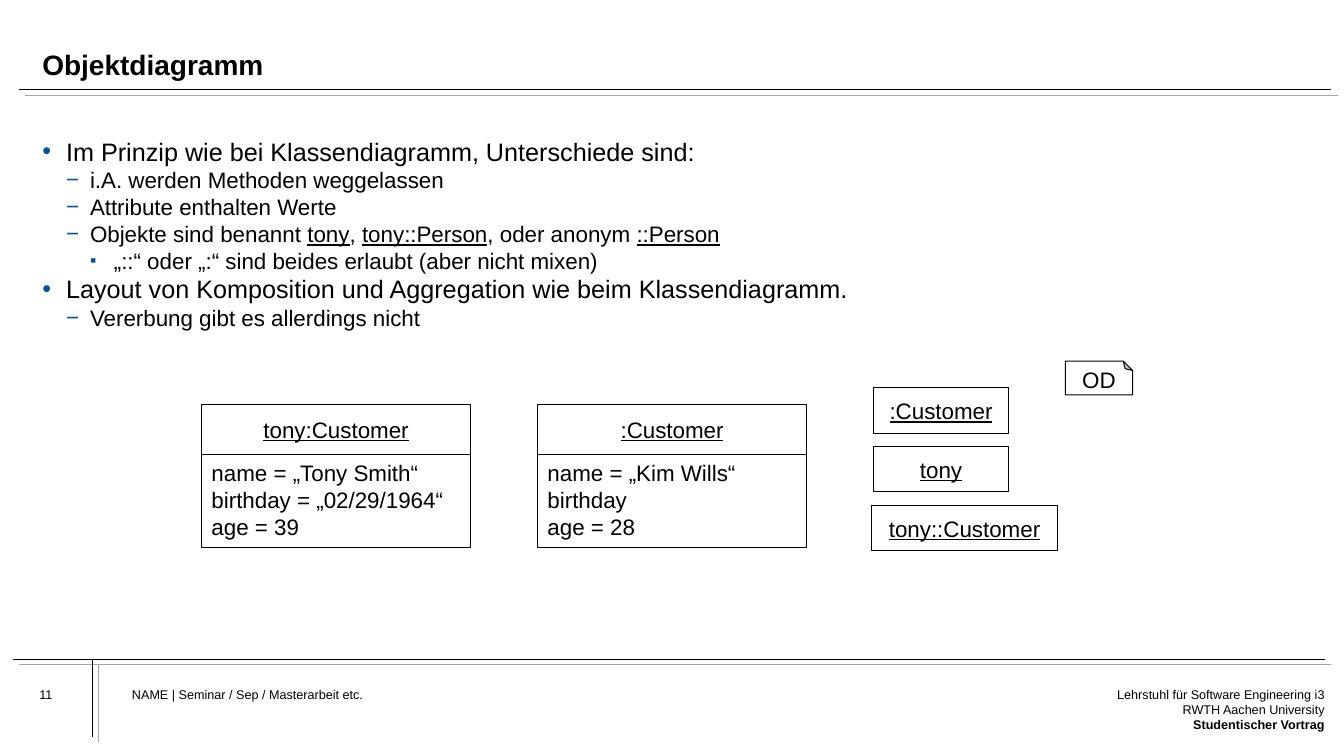
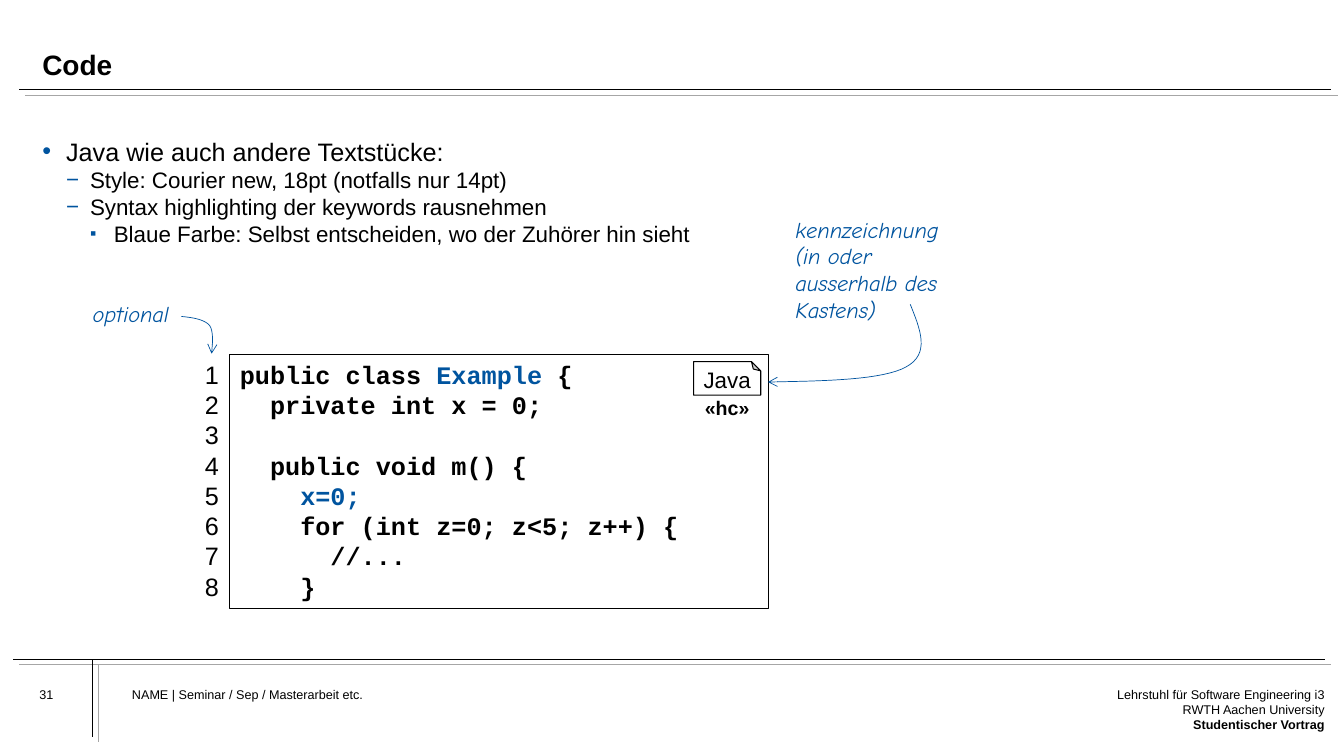
from lxml.etree import SubElement
from pptx import Presentation
from pptx.dml.color import RGBColor
from pptx.enum.shapes import MSO_CONNECTOR, MSO_SHAPE
from pptx.enum.text import MSO_ANCHOR, PP_ALIGN
from pptx.oxml.ns import qn
from pptx.util import Pt

BLACK = RGBColor(0x00, 0x00, 0x00)
WHITE = RGBColor(0xFF, 0xFF, 0xFF)
GREY = RGBColor(0xA6, 0xA6, 0xA6)
BLUE = RGBColor(0x00, 0x54, 0x9F)
SANS, CODE, HAND = "Arial", "Courier New", "Comic Neue"
INSETS = (7.2, 3.6, 7.2, 3.6)
NO_INSETS = (0, 0, 0, 0)

RULES = [(13.7, 64.1, 951, 64.1), (9.4, 470.9, 946.1, 470.9), (66.2, 470.9, 66.2, 526.3)]
RULE_ECHO = (4.4, 3.8)
FOOTER = "NAME | Seminar / Sep / Masterarbeit etc."
AFFILIATION = ["Lehrstuhl für Software Engineering i3", "RWTH Aachen University",
               "*Studentischer Vortrag*"]
BULLETS = [("•", 100, 18), ("−", 100, 16), ("▪", 80, 16)]
BULLET_INDENT = 17.05

OBJECT_POINTS = [
    (0, "Im Prinzip wie bei Klassendiagramm, Unterschiede sind:"),
    (1, "i.A. werden Methoden weggelassen"),
    (1, "Attribute enthalten Werte"),
    (1, "Objekte sind benannt *tony*, *tony::Person*, oder anonym *::Person*"),
    (2, "„::“ oder „:“ sind beides erlaubt (aber nicht mixen)"),
    (0, "Layout von Komposition und Aggregation wie beim Klassendiagramm."),
    (1, "Vererbung gibt es allerdings nicht"),
]
OBJECT_CARDS = [
    ("tony:Customer", ["name = „Tony Smith“", "birthday = „02/29/1964“", "age = 39"]),
    (":Customer", ["name = „Kim Wills“", "birthday", "age = 28"]),
]
OBJECT_NAMES = [(":Customer", 624.2, 96), ("tony", 624.2, 96), ("tony::Customer", 622.8, 132.5)]

CODE_POINTS = [
    (0, "Java wie auch andere Textstücke:"),
    (1, "Style: Courier new, 18pt (notfalls nur 14pt)"),
    (1, "Syntax highlighting der keywords rausnehmen"),
    (2, "Blaue Farbe: Selbst entscheiden, wo der Zuhörer hin sieht"),
]
CODE_LINES = [
    "public class *Example* {",
    "  private int x = 0;",
    "",
    "  public void m() {",
    "    *x=0;*",
    "    for (int z=0; z<5; z++) {",
    "      //...",
    "    }",
]
HINTS = [
    (["optional"], (59, 211, 73.4, 26.6)),
    (["kennzeichnung", "(in oder", "ausserhalb des", "Kastens)"], (561, 150.5, 126, 85)),
]
HINT_CURVES = [
    [(129.6, 226.1), (137.5, 226.8), (146.2, 228.2), (149.8, 232.6),
     (152.6, 236.9), (151.9, 244.8), (151.2, 252.7)],
    [(650.2, 217.4), (657.4, 235.4), (664.6, 252.7), (647.3, 262.1),
     (630.7, 271.4), (589.7, 272.2), (548.6, 272.9)],
]


def points(values):
    return [Pt(value) for value in values]


def write(shape, lines, size, font=SANS, color=BLACK, bold=None, italic=None, underline=None,
          align=PP_ALIGN.LEFT, anchor=MSO_ANCHOR.TOP, insets=INSETS, wrap=True, spacing=None,
          emphasis=None):
    frame = shape.text_frame
    frame.word_wrap = wrap
    frame.vertical_anchor = anchor
    (frame.margin_left, frame.margin_top,
     frame.margin_right, frame.margin_bottom) = points(insets)
    for index, line in enumerate(lines):
        paragraph = frame.add_paragraph() if index else frame.paragraphs[0]
        paragraph.alignment = align
        if spacing:
            paragraph.line_spacing = spacing
        paragraph.font.name = font
        paragraph.font.size = Pt(size)
        paragraph.font.color.rgb = color
        paragraph.font.bold = bold
        paragraph.font.italic = italic
        paragraph.font.underline = underline
        for position, part in enumerate(line.split("*")):
            if part:
                run = paragraph.add_run()
                run.text = part
                if position % 2:
                    emphasis(run.font)
    return frame


def make_bold(font):
    font.bold = True


def make_underlined(font):
    font.underline = True


def make_blue(font):
    font.color.rgb = BLUE


def add_text(slide, box, lines, size, **style):
    return write(slide.shapes.add_textbox(*points(box)), lines, size, **style)


def add_outline(slide, box, preset=MSO_SHAPE.RECTANGLE, fill=None):
    shape = slide.shapes.add_shape(preset, *points(box))
    shape.shadow.inherit = False
    if fill is None:
        shape.fill.background()
    else:
        shape.fill.solid()
        shape.fill.fore_color.rgb = fill
    shape.line.color.rgb = BLACK
    shape.line.width = Pt(0.75)
    return shape


def add_rule(slide, ends, color):
    rule = slide.shapes.add_connector(MSO_CONNECTOR.STRAIGHT, *points(ends))
    rule.line.color.rgb = color
    rule.line.width = Pt(0.5)
    SubElement(rule._element.spPr, qn("a:effectLst"))


def add_bullets(slide, items):
    frame = add_text(slide, (30.2, 97.2, 904, 345.6), [text for _, text in items], 16,
                     insets=NO_INSETS, emphasis=make_underlined)
    for paragraph, (level, _) in zip(frame.paragraphs, items):
        symbol, percent, size = BULLETS[level]
        paragraph.level = level
        paragraph.font.size = Pt(size)
        properties = paragraph._p.get_or_add_pPr()
        properties.set("marL", str(Pt(BULLET_INDENT * (level + 1))))
        properties.set("indent", str(-Pt(BULLET_INDENT)))
        defaults = properties.find(qn("a:defRPr"))
        color = SubElement(properties, qn("a:buClr"))
        SubElement(color, qn("a:srgbClr")).set("val", str(BLUE))
        SubElement(properties, qn("a:buSzPct")).set("val", str(percent * 1000))
        SubElement(properties, qn("a:buFont")).set("typeface", SANS)
        SubElement(properties, qn("a:buChar")).set("char", symbol)
        properties.append(defaults)


def add_base_slide(presentation, title, number, items):
    slide = presentation.slides.add_slide(presentation.slide_layouts[6])
    for ends in RULES:
        add_rule(slide, ends, BLACK)
        add_rule(slide, [end + RULE_ECHO[i % 2] for i, end in enumerate(ends)], GREY)
    add_text(slide, (94.3, 490.3, 551.5, 49.7), [FOOTER], 9, insets=NO_INSETS)
    add_text(slide, (28.1, 490.3, 57.6, 31), [str(number)], 9, insets=NO_INSETS)
    add_text(slide, (791.3, 490.3, 154.8, 49.7), AFFILIATION, 9, insets=NO_INSETS,
             align=PP_ALIGN.RIGHT, emphasis=make_bold)
    add_text(slide, (30.2, 15.8, 904, 42.5), [title], 20, bold=True, insets=NO_INSETS,
             anchor=MSO_ANCHOR.BOTTOM, spacing=0.9)
    add_bullets(slide, items)
    return slide


def add_language_tag(slide, left, top, label):
    tag = add_outline(slide, (left, top, 48, 24), MSO_SHAPE.FOLDED_CORNER, WHITE)
    properties = tag._element.spPr
    properties.xfrm.set("flipV", "1")
    guides = properties.find(qn("a:prstGeom")).find(qn("a:avLst"))
    fold = SubElement(guides, qn("a:gd"))
    fold.set("name", "adj")
    fold.set("fmla", "val 27600")
    frame = write(tag, [label], 16, align=PP_ALIGN.CENTER, anchor=MSO_ANCHOR.MIDDLE,
                  wrap=False, spacing=0.7)
    frame._txBody.bodyPr.set("rot", "10800000")


def add_named_box(slide, box, name):
    write(add_outline(slide, box), [name], 16, underline=True, align=PP_ALIGN.CENTER,
          anchor=MSO_ANCHOR.MIDDLE, wrap=False)


def add_object_card(slide, left, name, attributes):
    top, width, header, body = 288.7, 192.2, 36, 66.2
    add_named_box(slide, (left, top, width, header), name)
    write(add_outline(slide, (left, top + header, width, body)), attributes, 16)


def curve_points(controls, steps=16):
    result = [controls[0]]
    for start in range(0, len(controls) - 1, 3):
        segment = controls[start:start + 4]
        for step in range(1, steps + 1):
            t = step / steps
            weights = ((1 - t) ** 3, 3 * t * (1 - t) ** 2, 3 * t ** 2 * (1 - t), t ** 3)
            result.append(tuple(sum(weight * point[axis] for weight, point in zip(weights, segment))
                                for axis in (0, 1)))
    return result


def add_curved_arrow(slide, controls):
    start, *rest = [points(point) for point in curve_points(controls)]
    builder = slide.shapes.build_freeform(*start)
    builder.add_line_segments(rest, close=False)
    arrow = builder.convert_to_shape()
    arrow.shadow.inherit = False
    arrow.fill.background()
    arrow.line.color.rgb = BLUE
    arrow.line.width = Pt(0.5)
    SubElement(arrow.line._get_or_add_ln(), qn("a:tailEnd")).set("type", "arrow")


def build_object_slide(presentation):
    slide = add_base_slide(presentation, "Objektdiagramm", 11, OBJECT_POINTS)
    for index, (name, attributes) in enumerate(OBJECT_CARDS):
        add_object_card(slide, 144 + 240 * index, name, attributes)
    for index, (name, left, width) in enumerate(OBJECT_NAMES):
        add_named_box(slide, (left, 277 + 42 * index, width, 32.4), name)
    add_language_tag(slide, 761, 258, "OD")


def build_code_slide(presentation):
    slide = add_base_slide(presentation, "Code", 31, CODE_POINTS)
    write(add_outline(slide, (164.2, 253, 384.5, 181.4)), CODE_LINES, 18, font=CODE, bold=True,
          emphasis=make_blue)
    numbers = [str(number) for number in range(1, len(CODE_LINES) + 1)]
    add_text(slide, (123.8, 253, 39.6, 181.4), numbers, 18, align=PP_ALIGN.RIGHT)
    add_language_tag(slide, 495.4, 258.3, "Java")
    add_text(slide, (496, 279.4, 46.8, 24.5), ["«hc»"], 14, bold=True, align=PP_ALIGN.CENTER,
             wrap=False)
    for lines, box in HINTS:
        add_text(slide, box, lines, 16, font=HAND, color=BLUE, italic=True)
    for controls in HINT_CURVES:
        add_curved_arrow(slide, controls)


def main():
    """Build the object diagram and code slides."""
    presentation = Presentation()
    presentation.slide_width, presentation.slide_height = Pt(960), Pt(540)
    build_object_slide(presentation)
    build_code_slide(presentation)
    presentation.save("out.pptx")


if __name__ == "__main__":
    main()
